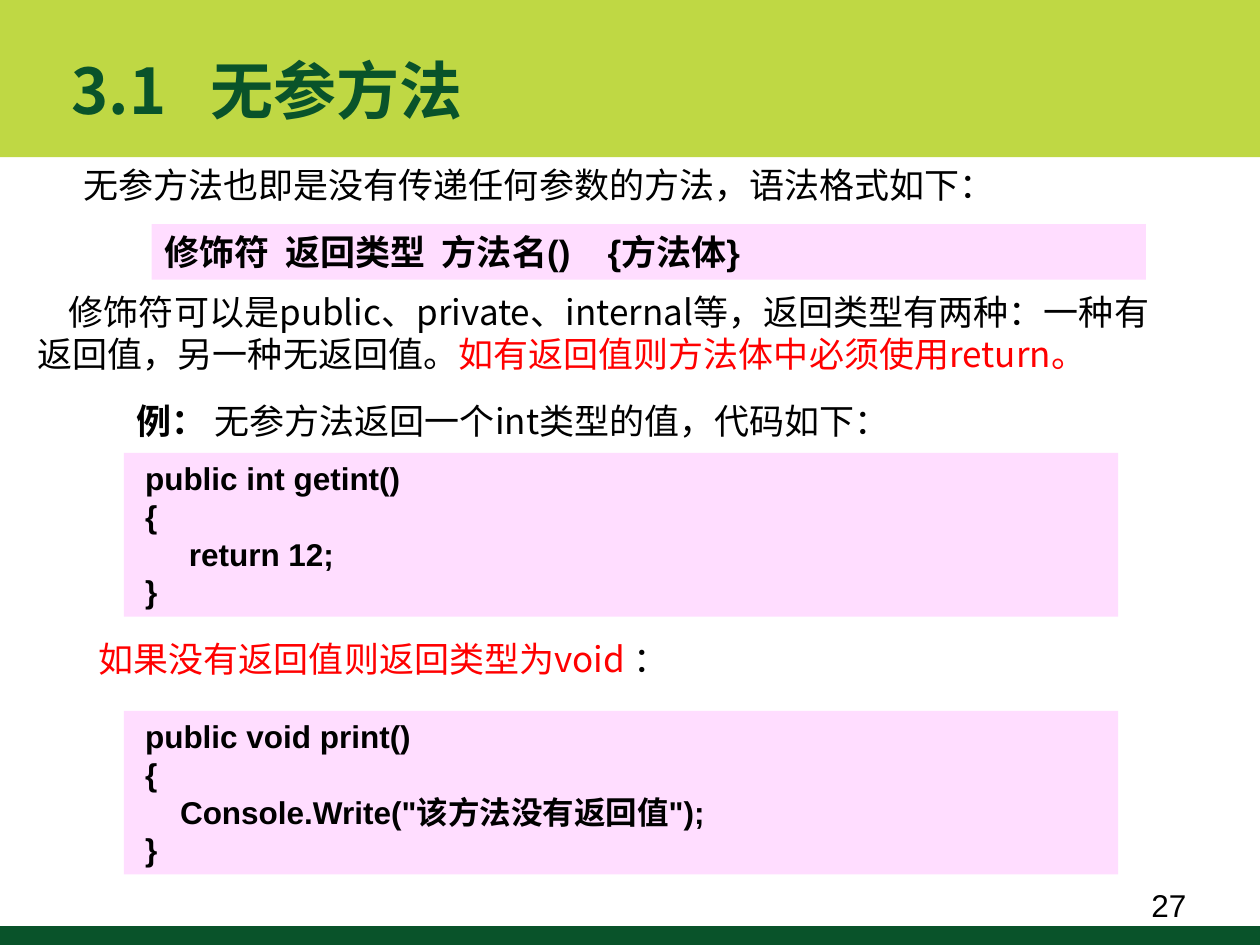
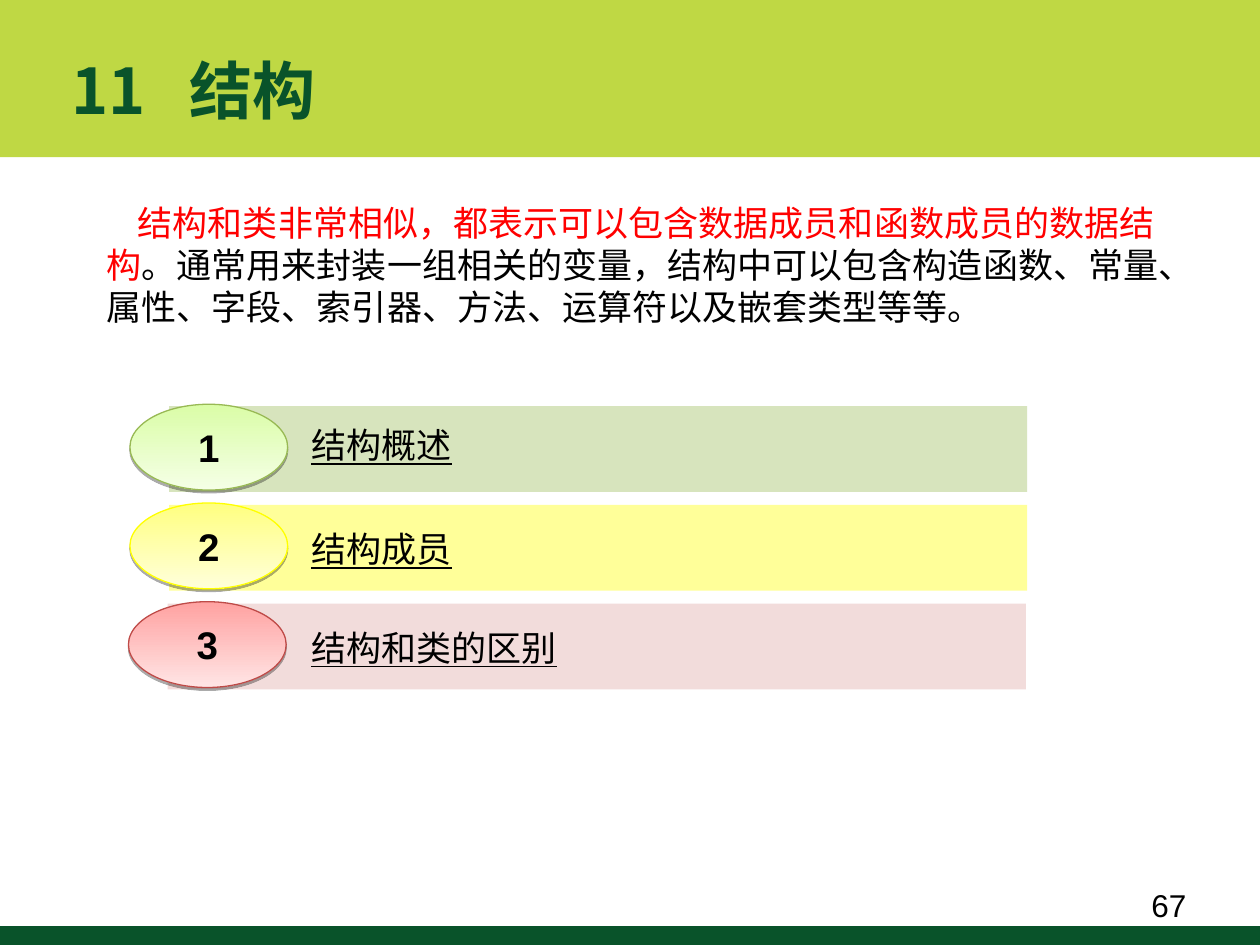
from dataclasses import dataclass

from lxml.etree import SubElement
from pptx import Presentation
from pptx.dml.color import RGBColor
from pptx.enum.shapes import MSO_SHAPE
from pptx.enum.text import MSO_ANCHOR, PP_ALIGN
from pptx.oxml.ns import qn
from pptx.util import Cm, Pt


@dataclass(frozen=True)
class Theme:
    lime: str = "BFD844"
    green: str = "09532A"
    black: str = "000000"
    red: str = "FF0000"
    panel: str = "FFDDFF"
    latin: str = "Arial"
    chinese: str = "Noto Sans CJK SC"
    title_size: int = 36
    number_size: int = 22
    body_size: int = 20
    code_size: int = 18
    first_line: float = 0.63


@dataclass(frozen=True)
class Box:
    left: float
    top: float
    width: float
    height: float

    def lengths(self):
        return Cm(self.left), Cm(self.top), Cm(self.width), Cm(self.height)

    def inner(self, left, top, width, height):
        return Box(self.left + left, self.top + top, width, height)


@dataclass(frozen=True)
class Span:
    text: str
    color: str = Theme.black
    bold: bool = False
    underline: bool = False


THEME = Theme()
PAGE = Box(0, 0, 25.4, 19.05)
TITLE_BOX = Box(1.19, 0.6, 18.85, 2.41)


def add_span(paragraph, span, size, latin=THEME.chinese):
    run = paragraph.add_run()
    run.text = span.text
    font = run.font
    font.size = Pt(size)
    font.name = latin
    font.bold = span.bold
    font.underline = span.underline
    font.color.rgb = RGBColor.from_string(span.color)
    east_asian = SubElement(run._r.get_or_add_rPr(), qn("a:ea"))
    east_asian.set("typeface", THEME.chinese)


def add_tab_stops(paragraph, positions):
    tab_list = SubElement(paragraph._p.get_or_add_pPr(), qn("a:tabLst"))
    for position in positions:
        tab = SubElement(tab_list, qn("a:tab"))
        tab.set("pos", str(Cm(position)))
        tab.set("algn", "l")


def add_text(slide, box, spans, indent=0, size=THEME.body_size, latin=THEME.chinese):
    text_frame = slide.shapes.add_textbox(*box.lengths()).text_frame
    text_frame.word_wrap = True
    paragraph = text_frame.paragraphs[0]
    if indent:
        paragraph._p.get_or_add_pPr().set("indent", str(Cm(indent)))
    for span in spans:
        add_span(paragraph, span, size, latin)


def add_plain_shape(shapes, kind, box, color):
    shape = shapes.add_shape(kind, *box.lengths())
    shape.shadow.inherit = False
    shape.fill.solid()
    shape.fill.fore_color.rgb = RGBColor.from_string(color)
    shape.line.fill.background()
    return shape


def add_panel(slide, box, lines, size, tab_stops=()):
    panel = add_plain_shape(slide.shapes, MSO_SHAPE.RECTANGLE, box, THEME.panel)
    text_frame = panel.text_frame
    text_frame.word_wrap = True
    text_frame.vertical_anchor = MSO_ANCHOR.TOP
    for index, line in enumerate(lines):
        paragraph = text_frame.add_paragraph() if index else text_frame.paragraphs[0]
        paragraph.alignment = PP_ALIGN.LEFT
        if tab_stops:
            add_tab_stops(paragraph, tab_stops)
        add_span(paragraph, Span(line, bold=True), size, THEME.latin)


def add_master_bands(presentation, slide):
    tree = presentation.slide_master.shapes._spTree
    bands = (
        (PAGE.inner(0, 0, PAGE.width, 3.17), THEME.lime),
        (PAGE.inner(0, 18.67, PAGE.width, 0.38), THEME.green),
    )
    for position, (box, color) in enumerate(bands, start=2):
        band = add_plain_shape(slide.shapes, MSO_SHAPE.RECTANGLE, box, color)
        tree.insert(position, band._element)


def add_titled_slide(presentation, number, title, tab_stop, page_number):
    slide = presentation.slides.add_slide(presentation.slide_layouts[5])
    heading = slide.shapes.title
    heading.left, heading.top, heading.width, heading.height = TITLE_BOX.lengths()
    heading.text_frame.vertical_anchor = MSO_ANCHOR.MIDDLE
    paragraph = heading.text_frame.paragraphs[0]
    paragraph.alignment = PP_ALIGN.LEFT
    add_tab_stops(paragraph, [tab_stop])
    add_span(paragraph, Span(f"{number}\t{title}", THEME.green, True), THEME.title_size)
    add_text(slide, PAGE.inner(22.96, 17.73, 2.4, 1.02), [Span(page_number)],
             size=THEME.code_size, latin=THEME.latin)
    return slide


def fill_method_slide(slide, box):
    line_width, line_height = 23.42, 1.12
    panel_width, code_height = 20.04, 3.3

    add_text(slide, box.inner(0.8, 0, line_width, line_height),
             [Span("无参方法也即是没有传递任何参数的方法，语法格式如下：")], THEME.first_line)
    add_panel(slide, box.inner(3.06, 1.34, panel_width, line_height),
              ["修饰符\t返回类型\t方法名()\t{方法体}"], THEME.body_size, (2.45, 5.6, 8.94))
    add_text(slide, box.inner(0.51, 2.56, line_width, 1.96), [
        Span("修饰符可以是public、private、internal等，返回类型有两种：一种有返回值，另一种无返回值。"),
        Span("如有返回值则方法体中必须使用return。", THEME.red),
    ], THEME.first_line)
    add_text(slide, box.inner(2.5, 4.74, 22.9, line_height), [
        Span("例： ", bold=True),
        Span("无参方法返回一个int类型的值，代码如下："),
    ])
    add_panel(slide, box.inner(2.5, 5.95, panel_width, code_height),
              [" public int getint()", " {", "      return 12;", " }"], THEME.code_size)
    add_text(slide, box.inner(1.11, 9.55, line_width, line_height), [
        Span("如果没有返回值则返回类型为void ", THEME.red),
        Span("："),
    ], THEME.first_line)
    add_panel(slide, box.inner(2.5, 11.15, panel_width, code_height),
              [" public void print()", " {", '     Console.Write("该方法没有返回值");', " }"],
              THEME.code_size)


@dataclass(frozen=True)
class Topic:
    label: str
    label_offset: float
    shift: float
    bar: str
    light_top: str
    light_bottom: str
    outline: str


TOPICS = (
    Topic("结构概述", 0.27, 0, "D7E4BD", "DAFDA7", "F5FFE6", "98B954"),
    Topic("结构成员", 0.37, 0, "FFFF99", "FFFF80", "FFFFDA", "FFFF00"),
    Topic("结构和类的区别", 0.37, -0.03, "F2DCDB", "FFA2A1", "FFE5E5", "BE4B48"),
)


def add_drop_shadow(shape):
    effects = shape._element.spPr.find(qn("a:effectLst"))
    shadow = SubElement(effects, qn("a:outerShdw"))
    for name, value in (("blurRad", 0), ("dist", Pt(1.6)), ("dir", 5400000), ("rotWithShape", 0)):
        shadow.set(name, str(value))
    color = SubElement(shadow, qn("a:srgbClr"))
    color.set("val", THEME.black)
    SubElement(color, qn("a:alpha")).set("val", "33000")


def add_topic_row(slide, box, number, topic):
    group = slide.shapes.add_group_shape()
    add_plain_shape(group.shapes, MSO_SHAPE.RECTANGLE,
                    box.inner(0.79 + topic.shift, 0.04, box.width - 0.79, box.height), topic.bar)
    badge = add_plain_shape(group.shapes, MSO_SHAPE.OVAL,
                            box.inner(topic.shift, 0, 3.18, box.height), topic.light_top)
    badge.fill.gradient()
    badge.fill.gradient_angle = 270
    colors = (topic.light_top, topic.light_bottom)
    for position, (stop, color) in enumerate(zip(badge.fill.gradient_stops, colors)):
        stop.color.rgb = RGBColor.from_string(color)
        stop.position = position
    badge.line.color.rgb = RGBColor.from_string(topic.outline)
    badge.line.width = Pt(0.75)
    add_drop_shadow(badge)
    badge.text_frame.vertical_anchor = MSO_ANCHOR.MIDDLE
    paragraph = badge.text_frame.paragraphs[0]
    paragraph.alignment = PP_ALIGN.CENTER
    add_span(paragraph, Span(str(number), bold=True), THEME.number_size, THEME.latin)
    add_text(slide, box.inner(3.41, topic.label_offset, 8.8, 1.12),
             [Span(topic.label, underline=True)])


def fill_structure_slide(slide, box):
    add_text(slide, box.inner(1.9, 0.76, 22.04, 2.79), [
        Span("结构和类非常相似，都表示可以包含数据成员和函数成员的数据结构", THEME.red),
        Span("。通常用来封装一组相关的变量，结构中可以包含构造函数、常量、属性、字段、索引器、方法、运算符以及嵌套类型等等。"),
    ], THEME.first_line)
    row_pitch = 1.99
    for index, topic in enumerate(TOPICS):
        row = box.inner(2.62, 4.97 + index * row_pitch, 18.09, 1.73)
        add_topic_row(slide, row, index + 1, topic)


def main():
    presentation = Presentation()
    presentation.slide_width = Cm(PAGE.width)
    presentation.slide_height = Cm(PAGE.height)
    content = PAGE.inner(0, 3.18, PAGE.width, 15.49)

    method_slide = add_titled_slide(presentation, "3.1", "无参方法", 2.8, "27")
    add_master_bands(presentation, method_slide)
    fill_method_slide(method_slide, content)

    structure_slide = add_titled_slide(presentation, "11", "结构", 2.38, "67")
    fill_structure_slide(structure_slide, content)

    presentation.save("out.pptx")


if __name__ == "__main__":
    main()
